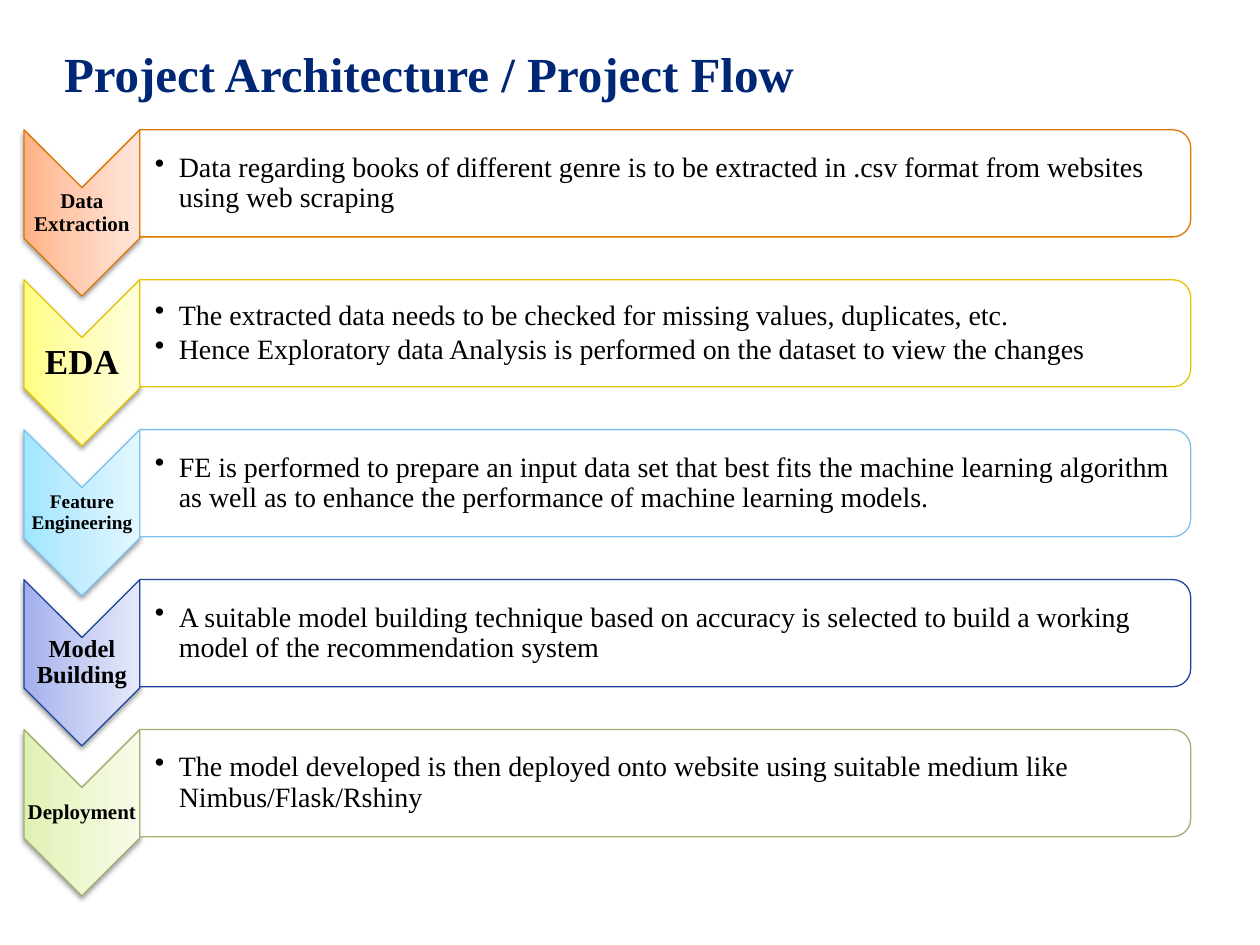
from copy import deepcopy

from lxml import etree
from pptx import Presentation
from pptx.dml.color import RGBColor
from pptx.enum.shapes import MSO_SHAPE
from pptx.enum.text import MSO_ANCHOR, PP_ALIGN
from pptx.oxml.ns import qn
from pptx.util import Inches, Pt

CHEVRON = MSO_SHAPE.CHEVRON
PANEL = MSO_SHAPE.ROUND_2_SAME_RECTANGLE
MIDDLE = MSO_ANCHOR.MIDDLE
CENTER = PP_ALIGN.CENTER
FONT = "Times New Roman"
COLORS = {"title": "002776", "text": "000000", "panel": "FFFFFF", "shadow": "000000"}
STOPS = (0, 0.35, 1)

STEPS = [
    ("Data Extraction", 12, "DF7600", ("FFB184", "FFC7A9", "FFE6DB"),
     ["Data regarding books of different genre is to be extracted in .csv format "
      "from websites using web scraping"]),
    ("EDA", 20, "E4C400", ("FFFF81", "FFFDA8", "FFFEDB"),
     ["The extracted data needs to be checked for missing values, duplicates, etc.",
      "Hence Exploratory data Analysis is performed on the dataset to view the changes"]),
    ("Feature Engineering", 11, "7DC1EF", ("9EE7FF", "BBEBFF", "E2F7FF"),
     ["FE is performed to prepare an input data set that best fits the machine learning "
      "algorithm as well as to enhance the performance of machine learning models."]),
    ("Model Building", 14, "1E449B", ("A1AEED", "BDC6F1", "E5E9FA"),
     ["A suitable model building technique based on accuracy is selected to build a "
      "working model of the recommendation system"]),
    ("Deployment", 12, "A1B070", ("DFF1B1", "E9F5C7", "F7FBE9"),
     ["The model developed is then deployed onto website using suitable medium like "
      "Nimbus/Flask/Rshiny"]),
]


def rgb(color):
    return RGBColor.from_string(color)


def add_child(parent, tag, **attributes):
    return etree.SubElement(parent, qn(tag), attributes)


def add_rotated(page, kind, left, top, width, height, line):
    shape = page.shapes.add_shape(
        kind, Inches(left + (width - height) / 2), Inches(top + (height - width) / 2),
        Inches(height), Inches(width))
    shape.rotation = 90
    shape.shadow.inherit = False
    shape.line.color.rgb = rgb(line)
    shape.line.width = Pt(0.75)
    return shape


def add_text(page, left, top, width, height, lines, size,
             color=COLORS["text"], bold=False, inset=0.01):
    box = page.shapes.add_textbox(Inches(left), Inches(top), Inches(width), Inches(height))
    frame = box.text_frame
    frame.word_wrap = True
    frame.vertical_anchor = MIDDLE
    frame.margin_left = Inches(inset)
    frame.margin_right = frame.margin_top = frame.margin_bottom = Inches(0.01)
    frame.text = "\n".join(lines)
    for para in frame.paragraphs:
        para.line_spacing = 0.9
        para.font.name = FONT
        para.font.size = Pt(size)
        para.font.bold = bold
        para.font.color.rgb = rgb(color)
    return frame


def add_bullet(para):
    properties = para._p.get_or_add_pPr()
    properties.set("marL", str(Inches(0.19)))
    properties.set("indent", str(-Inches(0.19)))
    bullet = etree.Element(qn("a:buChar"), char="•")
    properties.find(qn("a:defRPr")).addprevious(bullet)


def fill_gradient(shape, colors):
    shape.fill.gradient()
    shape.fill.gradient_angle = 90
    stop_list = shape._element.spPr.find(qn("a:gradFill")).find(qn("a:gsLst"))
    stop_list.append(deepcopy(stop_list[-1]))
    for stop, position, color in zip(shape.fill.gradient_stops, STOPS, colors):
        stop.position = position
        stop.color.rgb = rgb(color)


def add_shadow(shape):
    effects = shape._element.spPr.find(qn("a:effectLst"))
    shadow = add_child(effects, "a:outerShdw", blurRad=str(Pt(3.1)), dist=str(Pt(1.6)),
                       dir="5400000", rotWithShape="0")
    color = add_child(shadow, "a:srgbClr", val=COLORS["shadow"])
    add_child(color, "a:alpha", val="38000")


def add_chevron(page, left, top, width, height, label, size, line, gradient):
    chevron = add_rotated(page, CHEVRON, left, top, width, height, line)
    chevron.adjustments[0] = 0.5
    fill_gradient(chevron, gradient)
    add_shadow(chevron)
    notch = width / 2
    frame = add_text(page, left, top + notch, width, height - 2 * notch,
                     [label], size, bold=True)
    frame.paragraphs[0].alignment = CENTER


def add_panel(page, left, top, width, height, line, lines):
    panel = add_rotated(page, PANEL, left, top, width, height, line)
    panel.adjustments[0] = 0.167
    panel.adjustments[1] = 0
    panel.fill.solid()
    panel.fill.fore_color.rgb = rgb(COLORS["panel"])
    color = panel._element.spPr.find(qn("a:solidFill"))[0]
    add_child(color, "a:alpha", val="90000")
    frame = add_text(page, left, top + 0.04, width - 0.04, height - 0.08,
                     lines, 16, inset=0.12)
    for index, para in enumerate(frame.paragraphs):
        if index:
            para.space_before = Pt(2.4)
        add_bullet(para)


def add_title(page, left, top, width, height):
    frame = add_text(page, left, top, width, height,
                     ["Project Architecture / Project Flow"], 28,
                     COLORS["title"], bold=True, inset=0.1)
    frame.paragraphs[0].line_spacing = 1


def add_flow(page, left, top, width, pitch):
    chevron_width = 0.92
    for index, (label, size, line, gradient, lines) in enumerate(STEPS):
        row_top = top + index * pitch
        add_chevron(page, left, row_top, chevron_width, 1.32, label, size, line, gradient)
        add_panel(page, left + chevron_width, row_top, width - chevron_width, 0.85,
                  line, lines)


def main():
    deck = Presentation()
    deck.slide_width = Inches(10)
    deck.slide_height = Inches(7.5)
    page = deck.slides.add_slide(deck.slide_layouts[6])
    add_title(page, 0.41, 0.29, 6.71, 0.57)
    add_flow(page, 0.19, 1.03, 9.26, 1.19)
    deck.save("out.pptx")


if __name__ == "__main__":
    main()
